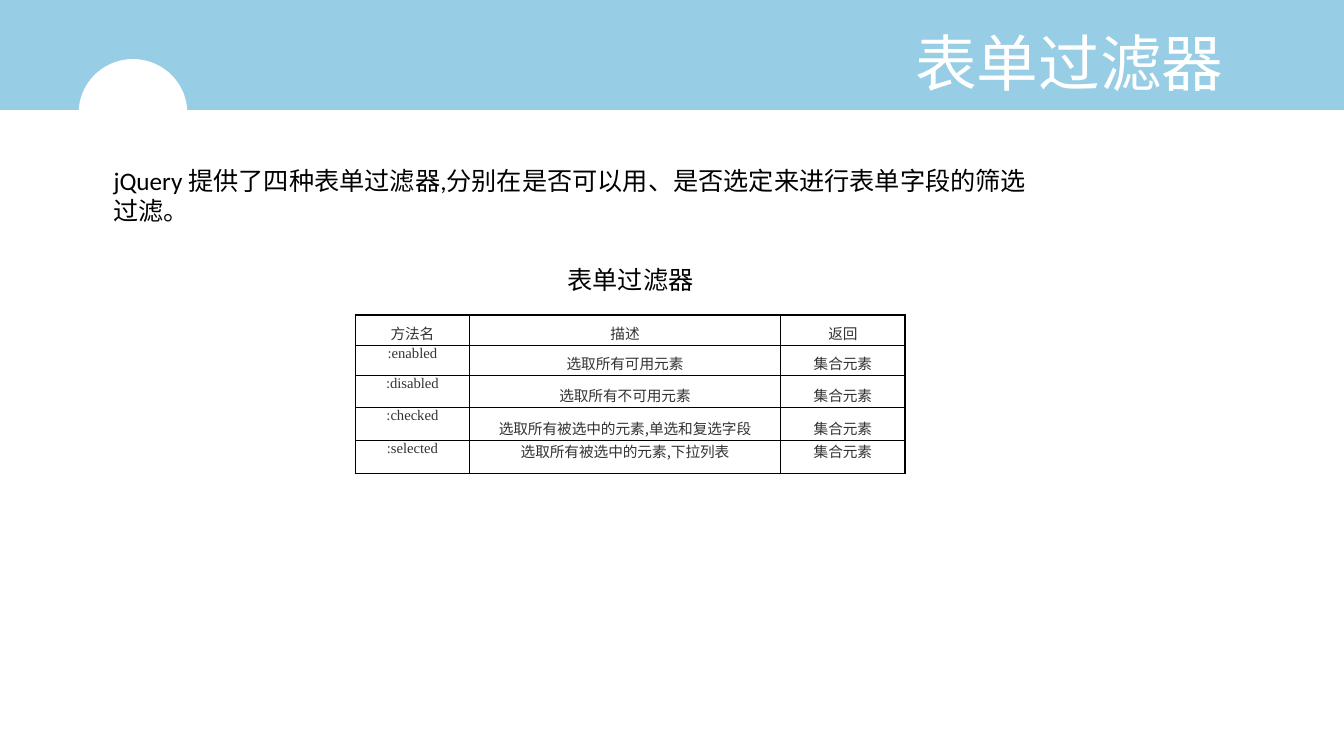
from lxml import etree
from pptx import Presentation
from pptx.dml.color import RGBColor
from pptx.enum.shapes import MSO_SHAPE
from pptx.enum.text import MSO_ANCHOR, PP_ALIGN
from pptx.oxml.ns import qn
from pptx.util import Pt

CENTER, LEFT = PP_ALIGN.CENTER, PP_ALIGN.LEFT
TOP, MIDDLE = MSO_ANCHOR.TOP, MSO_ANCHOR.MIDDLE
RECTANGLE, OVAL = MSO_SHAPE.RECTANGLE, MSO_SHAPE.OVAL

# Content
COLORS = {"band": "97CDE5", "white": "FFFFFF", "black": "000000", "cell": "333333"}
BODY_FONT, CJK_FONT, CODE_FONT = "Calibri", "Noto Sans CJK JP", "Times New Roman"
TITLE = "表单过滤器"
INTRO = "jQuery 提供了四种表单过滤器,分别在是否可以用、是否选定来进行表单字段的筛选过滤。".replace(",", ",")
FILTERS = [
    ("方法名", "描述", "返回"),
    (":enabled", "选取所有可用元素", "集合元素"),
    (":disabled", "选取所有不可用元素", "集合元素"),
    (":checked", "选取所有被选中的元素,单选和复选字段".replace(",", ","), "集合元素"),
    (":selected", "选取所有被选中的元素,下拉列表".replace(",", ","), "集合元素"),
]

# Layout in points
DECORATIONS = [
    (RECTANGLE, (0, 0, 960, 78.5), "band"),
    (OVAL, (56.2, 42.2, 77.6, 77.2), "white"),
]
TEXTS = [
    (TITLE, (615.6, 7.9, 296.6, 72), 44, "white", CENTER, MIDDLE),
    (INTRO, (74, 114.5, 683.3, 72.7), 18, "black", LEFT, TOP),
    (TITLE, (254.9, 185, 391, 28.8), 18, "black", CENTER, TOP),
]
TABLE_LEFT, TABLE_TOP = 254, 225
COLUMN_WIDTHS = [81.2, 222.6, 88.7]
ROW_HEIGHTS = [21.5, 21.5, 23.2, 23.2, 24]
LINE_SPACINGS = [20.6, 20.6, 22.1, 22.1, None]


def color(name):
    return RGBColor.from_string(COLORS[name])


def format_paragraph(paragraph, size, color_name, font_name, alignment):
    paragraph.alignment = alignment
    for run in paragraph.runs:
        run.font.size = Pt(size)
        run.font.name = font_name
        run.font.color.rgb = color(color_name)


def add_borders(cell):
    properties = cell._tc.get_or_add_tcPr()
    for position, side in enumerate(("lnL", "lnR", "lnT", "lnB")):
        line = etree.Element(qn("a:" + side), w=str(Pt(1)))
        fill = etree.SubElement(line, qn("a:solidFill"))
        etree.SubElement(fill, qn("a:srgbClr"), val=COLORS["black"])
        properties.insert(position, line)


presentation = Presentation()
presentation.slide_width, presentation.slide_height = Pt(960), Pt(540)
slide = presentation.slides.add_slide(presentation.slide_layouts[6])

# Header band and its half circle
for kind, box, fill_name in DECORATIONS:
    shape = slide.shapes.add_shape(kind, *map(Pt, box))
    shape.shadow.inherit = False
    shape.fill.solid()
    shape.fill.fore_color.rgb = color(fill_name)
    shape.line.fill.background()

# Title, introduction and table caption
for text, box, size, color_name, alignment, anchor in TEXTS:
    text_frame = slide.shapes.add_textbox(*map(Pt, box)).text_frame
    text_frame.word_wrap = True
    text_frame.vertical_anchor = anchor
    text_frame.text = text
    format_paragraph(text_frame.paragraphs[0], size, color_name, BODY_FONT, alignment)

# Filter table
table = slide.shapes.add_table(
    len(FILTERS), len(COLUMN_WIDTHS), Pt(TABLE_LEFT), Pt(TABLE_TOP),
    Pt(sum(COLUMN_WIDTHS)), Pt(sum(ROW_HEIGHTS))).table
table.first_row = table.horz_banding = False
for column, width in zip(table.columns, COLUMN_WIDTHS):
    column.width = Pt(width)
for row, height, spacing, texts in zip(table.rows, ROW_HEIGHTS, LINE_SPACINGS, FILTERS):
    row.height = Pt(height)
    for cell, text in zip(row.cells, texts):
        is_code = text.startswith(":")
        cell.margin_left = cell.margin_right = cell.margin_top = cell.margin_bottom = 0
        cell.fill.background()
        add_borders(cell)
        cell.text_frame.text = text
        paragraph = cell.text_frame.paragraphs[0]
        format_paragraph(paragraph, 10.5, "cell", CODE_FONT if is_code else CJK_FONT, CENTER)
        if spacing and not is_code:
            paragraph.line_spacing = Pt(spacing)

presentation.save("out.pptx")
